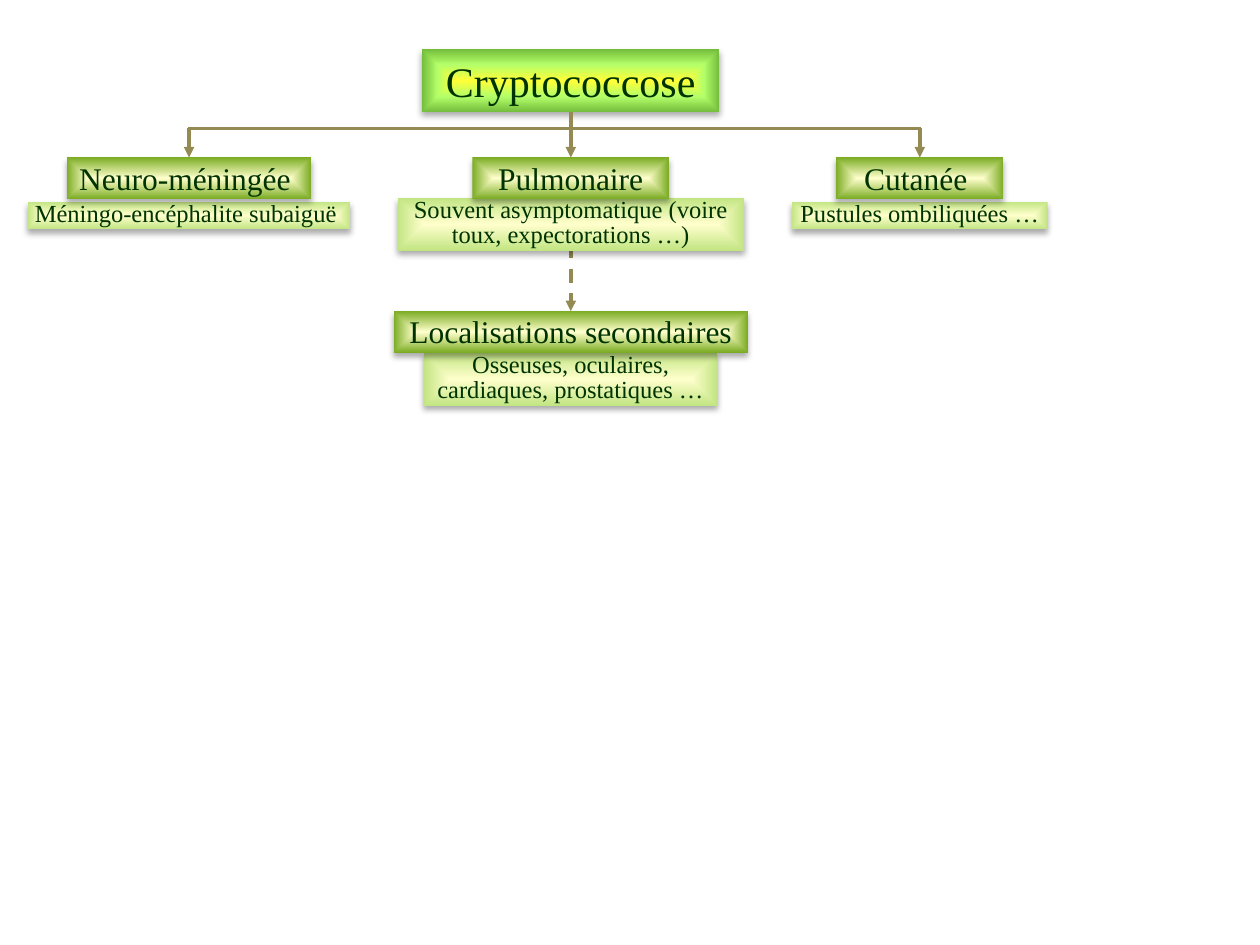
from lxml import etree
from pptx import Presentation
from pptx.dml.color import RGBColor
from pptx.enum.dml import MSO_LINE
from pptx.enum.shapes import MSO_CONNECTOR, MSO_SHAPE
from pptx.enum.text import MSO_ANCHOR, MSO_AUTO_SIZE, PP_ALIGN
from pptx.oxml import parse_xml
from pptx.oxml.ns import nsdecls, qn
from pptx.util import Inches, Pt

FONT = "Times New Roman"
DARK_GREEN = RGBColor(0x00, 0x33, 0x00)
KHAKI = RGBColor(0x94, 0x8A, 0x54)
CREAM = RGBColor(0xFF, 0xFF, 0xCC)
PALE_GREEN = RGBColor(0xC2, 0xE5, 0x83)
OLIVE = RGBColor(0x7B, 0xAC, 0x24)
YELLOW = RGBColor(0xFF, 0xFF, 0x37)
LIME = RGBColor(0xB4, 0xFF, 0x69)
GREEN = RGBColor(0x74, 0xBD, 0x3D)

TOP, BOTTOM = 0, 2
HEADER_HEIGHT = 0.33
FORMS_TOP = 1.25
BAR_Y = 1.02
CENTRE_X = 4.53


def write_text(shape, text, size, spacing=None, inset=None):
    frame = shape.text_frame
    frame.word_wrap = True
    frame.auto_size = MSO_AUTO_SIZE.SHAPE_TO_FIT_TEXT
    frame.vertical_anchor = MSO_ANCHOR.TOP
    if inset is not None:
        frame.margin_left = frame.margin_right = Inches(inset)
        frame.margin_top = frame.margin_bottom = Inches(inset)
    paragraph = frame.paragraphs[0]
    paragraph.alignment = PP_ALIGN.CENTER
    if spacing:
        paragraph.line_spacing = Pt(spacing)
    run = paragraph.add_run()
    run.text = text
    run.font.name = FONT
    run.font.size = Pt(size)
    run.font.color.rgb = DARK_GREEN


def fill_from_centre(shape, colours):
    """Blend evenly spaced colours from the centre of the shape to its edges."""
    step = 100000 // (len(colours) - 1)
    stops = "".join(
        f'<a:gs pos="{i * step}"><a:srgbClr val="{colour}"/></a:gs>'
        for i, colour in enumerate(colours)
    )
    gradient = parse_xml(
        f'<a:gradFill {nsdecls("a")} rotWithShape="1"><a:gsLst>{stops}</a:gsLst>'
        '<a:path path="shape"><a:fillToRect l="50000" t="50000" r="50000" b="50000"/>'
        "</a:path></a:gradFill>"
    )
    shape._element.spPr.find(qn("a:prstGeom")).addnext(gradient)


def cast_shadow(shape):
    shape.shadow.inherit = False
    effects = shape._element.spPr.find(qn("a:effectLst"))
    effects.append(parse_xml(
        f'<a:outerShdw {nsdecls("a")} blurRad="{Pt(3.5)}" dist="{Pt(2.2)}" '
        'dir="5400000" rotWithShape="0"><a:srgbClr val="000000">'
        '<a:alpha val="32000"/></a:srgbClr></a:outerShdw>'
    ))


def add_box(slide, centre, top, width, height, colours, text, **text_format):
    box = slide.shapes.add_shape(
        MSO_SHAPE.RECTANGLE, Inches(centre - width / 2), Inches(top),
        Inches(width), Inches(height),
    )
    box.line.fill.background()
    fill_from_centre(box, colours)
    cast_shadow(box)
    write_text(box, text, **text_format)
    return box


def add_line(slide, start, end, arrow=True, dash=None):
    line = slide.shapes.add_connector(
        MSO_CONNECTOR.STRAIGHT, *(Inches(value) for value in (*start, *end))
    )
    line.line.color.rgb = KHAKI
    line.line.width = Pt(2)
    if dash:
        line.line.dash_style = dash
    if arrow:
        etree.SubElement(line.line._get_or_add_ln(), qn("a:tailEnd"), type="triangle")
    etree.SubElement(line._element.spPr, qn("a:effectLst"))
    return line


def add_form(slide, centre, top, title, title_width, detail, detail_box):
    """Place a titled header over its detail box, given as (top, width, height)."""
    add_box(slide, centre, *detail_box, (CREAM, PALE_GREEN), detail,
            size=14, spacing=14, inset=0.01)
    return add_box(slide, centre, top, title_width, HEADER_HEIGHT, (CREAM, OLIVE),
                   title, size=18, inset=0.01)


def add_branches(slide, root, forms):
    """Join the root to the forms, given as (centre, header) from left to right."""
    centres = [centre for centre, _ in forms]
    for centre, header in forms:
        branch = add_line(slide, (centre, BAR_Y), (centre, FORMS_TOP))
        if centre == CENTRE_X:
            branch.begin_connect(root, BOTTOM)
        branch.end_connect(header, TOP)
    add_line(slide, (centres[0] - 0.01, BAR_Y), (centres[-1] + 0.01, BAR_Y), arrow=False)


def build_tree(slide):
    spread = add_line(slide, (CENTRE_X, 1.74), (CENTRE_X, 2.45), dash=MSO_LINE.DASH)
    root = add_box(slide, CENTRE_X, 0.39, 2.36, 0.5, (YELLOW, LIME, GREEN),
                   "Cryptococcose", size=24)
    forms = [
        (1.5, "Neuro-méningée ", 1.94,
         "Méningo-encéphalite subaiguë ", (1.6, 2.56, 0.22)),
        (CENTRE_X, "Pulmonaire", 1.56,
         "Souvent asymptomatique (voire toux, expectorations …)", (1.57, 2.75, 0.42)),
        (7.3, "Cutanée ", 1.33,
         "Pustules ombiliquées …", (1.6, 2.03, 0.22)),
    ]
    headers = [(centre, add_form(slide, centre, FORMS_TOP, *content))
               for centre, *content in forms]
    add_branches(slide, root, headers)
    secondary = add_form(
        slide, CENTRE_X, 2.47, "Localisations secondaires", 2.81,
        "Osseuses, oculaires, cardiaques, prostatiques …", (2.8, 2.33, 0.42),
    )
    spread.end_connect(secondary, TOP)


def main():
    deck = Presentation()
    deck.slide_width, deck.slide_height = Inches(10), Inches(7.5)
    build_tree(deck.slides.add_slide(deck.slide_layouts[6]))
    deck.save("out.pptx")


if __name__ == "__main__":
    main()
